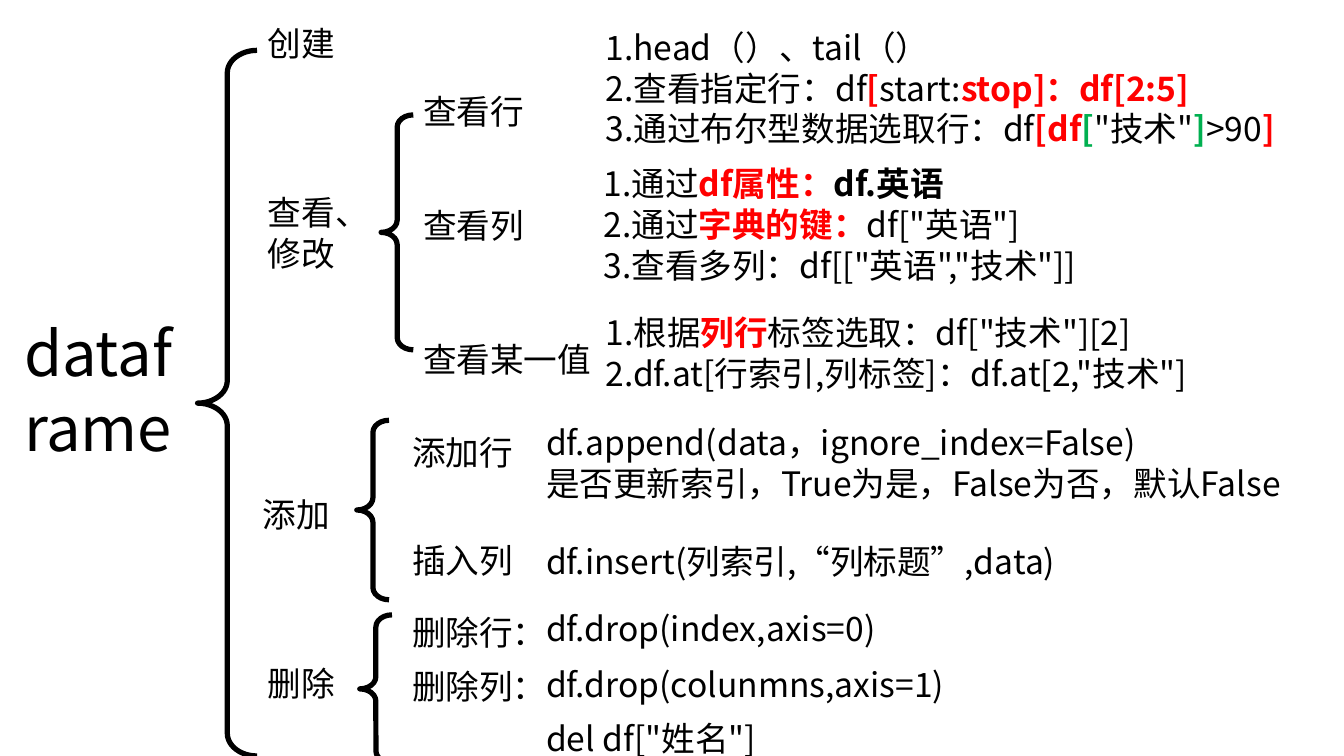
from dataclasses import dataclass

from lxml import etree
from pptx import Presentation
from pptx.dml.color import RGBColor
from pptx.enum import shapes, text
from pptx.oxml import ns
from pptx.util import Pt


@dataclass(frozen=True)
class Theme:
    font: str = "Noto Sans CJK SC"
    black: RGBColor = RGBColor(0x00, 0x00, 0x00)
    red: RGBColor = RGBColor(0xFF, 0x00, 0x00)
    green: RGBColor = RGBColor(0x00, 0xB0, 0x50)
    body: int = 24
    title: int = 44
    leading: float = 1.217
    inset: float = 3.6
    brace_line: float = 3.75


THEME = Theme()

# Run formats
PLAIN = {"color": THEME.black, "bold": False}
STRONG = {"color": THEME.black, "bold": True}
RED = {"color": THEME.red, "bold": True}
GREEN = {"color": THEME.green, "bold": True}

# Left edges of the text columns
BRANCH, VIEW, ACTION, CODE, NOTES = 184.3, 295.2, 287.3, 383, 425.5

# Single-line labels: left, top, wording, width
LABELS = [
    (BRANCH, 12.2, "创建", 91.4),
    (180.7, 349.2, "添加", 65.5),
    (BRANCH, 469.4, "删除", 66.2),
    (VIEW, 61.2, "查看行", 146.9),
    (VIEW, 142.6, "查看列", 146.9),
    (VIEW, 238.3, "查看某一值", 185),
    (ACTION, 304.6, "添加行", 134.6),
    (ACTION, 381.6, "插入列", 86.4),
    (ACTION, 433.4, "删除行：", 105.1),
    (ACTION, 471.6, "删除列：", 105.1),
    (CODE, 382.3, "df.insert(列索引,“列标题”,data)", 429.1),
    (CODE, 430.6, "df.drop(index,axis=0)", 348.5),
    (CODE, 470.2, "df.drop(colunmns,axis=1)", 342),
    (CODE, 509, 'del df["姓名"]', 196.6),
]

# Explanations: left, top, width, paragraphs of (wording, format) runs
EXPLANATIONS = [
    (NOTES, 15.1, 575.3, [
        [("1.head（）、tail（）", PLAIN)],
        [("2.查看指定行：df", PLAIN), ("[", RED), ("start:", PLAIN),
         ("stop]：df[2:5]", RED)],
        [("3.通过布尔型数据选取行：df", PLAIN), ("[df", RED), ("[", GREEN),
         ('"技术"', PLAIN), ("]", GREEN), (">90", PLAIN), ("]", RED)],
    ]),
    (424.1, 112.3, 535.7, [
        [("1.通过", PLAIN), ("df属性：", RED), ("df.英语", STRONG)],
        [("2.通过", PLAIN), ("字典的键：", RED), ('df["英语"]', PLAIN)],
        [('3.查看多列：df[["英语","技术"]]', PLAIN)],
    ]),
    (NOTES, 218.9, 494.6, [
        [("1.根据", PLAIN), ("列行", RED), ('标签选取：df["技术"][2]', PLAIN)],
        [('2.df.at[行索引,列标签]：df.at[2,"技术"]', PLAIN)],
    ]),
    (CODE, 297.4, 553, [
        [("df.append(data，ignore_index=False)", PLAIN)],
        [("是否更新索引，True为是，False为否，默认False", PLAIN)],
    ]),
]

# Braces: left, top, width, height
BRACES = [
    (141.1, 36, 42.5, 504),
    (272.2, 82.1, 23, 167.8),
    (254.9, 300.2, 23, 128.2),
    (257, 439.2, 23, 105.8),
]


def set_all(target, values):
    for name, value in values.items():
        setattr(target, name, value)


def add_run(paragraph, wording, style, size):
    run = paragraph.add_run()
    run.text = wording
    set_all(run.font, {"name": THEME.font, "size": Pt(size), "bold": style["bold"]})
    run.font.color.rgb = style["color"]
    # East Asian typeface
    east_asian = etree.SubElement(run.font._element, ns.qn("a:ea"))
    east_asian.set("typeface", THEME.font)


def add_text(slide, left, top, width, paragraphs, size=THEME.body, lines=None):
    line_height = round(size * THEME.leading, 1)
    height = (lines or len(paragraphs)) * line_height + 2 * THEME.inset
    box = slide.shapes.add_textbox(Pt(left), Pt(top), Pt(width), Pt(height))
    set_all(box.text_frame, {
        "word_wrap": True,
        "auto_size": text.MSO_AUTO_SIZE.SHAPE_TO_FIT_TEXT,
        "vertical_anchor": text.MSO_ANCHOR.TOP,
    })
    for index, runs in enumerate(paragraphs):
        frame = box.text_frame
        paragraph = frame.add_paragraph() if index else frame.paragraphs[0]
        paragraph.line_spacing = Pt(line_height)
        for wording, style in runs:
            add_run(paragraph, wording, style, size)


def add_brace(slide, left, top, width, height):
    brace = slide.shapes.add_shape(
        shapes.MSO_SHAPE.LEFT_BRACE, Pt(left), Pt(top), Pt(width), Pt(height))
    brace.shadow.inherit = False
    brace.fill.background()
    brace.line.color.rgb = THEME.black
    brace.line.width = Pt(THEME.brace_line)
    brace.adjustments[0] = 0.38
    brace.adjustments[1] = 0.5


def main():
    presentation = Presentation()
    set_all(presentation, {"slide_width": Pt(960), "slide_height": Pt(540)})
    slide = presentation.slides.add_slide(presentation.slide_layouts[6])

    # Root and the two-line branch
    add_text(slide, 10.1, 221, 131, [[("dataframe", PLAIN)]], THEME.title, lines=2)
    add_text(slide, BRANCH, 133.2, 91.4, [[("查看、修改", PLAIN)]], lines=2)

    # Branches, actions and code
    for left, top, wording, width in LABELS:
        add_text(slide, left, top, width, [[(wording, PLAIN)]])
    for left, top, width, paragraphs in EXPLANATIONS:
        add_text(slide, left, top, width, paragraphs)

    # Braces
    for bounds in BRACES:
        add_brace(slide, *bounds)

    presentation.save("out.pptx")


if __name__ == "__main__":
    main()
